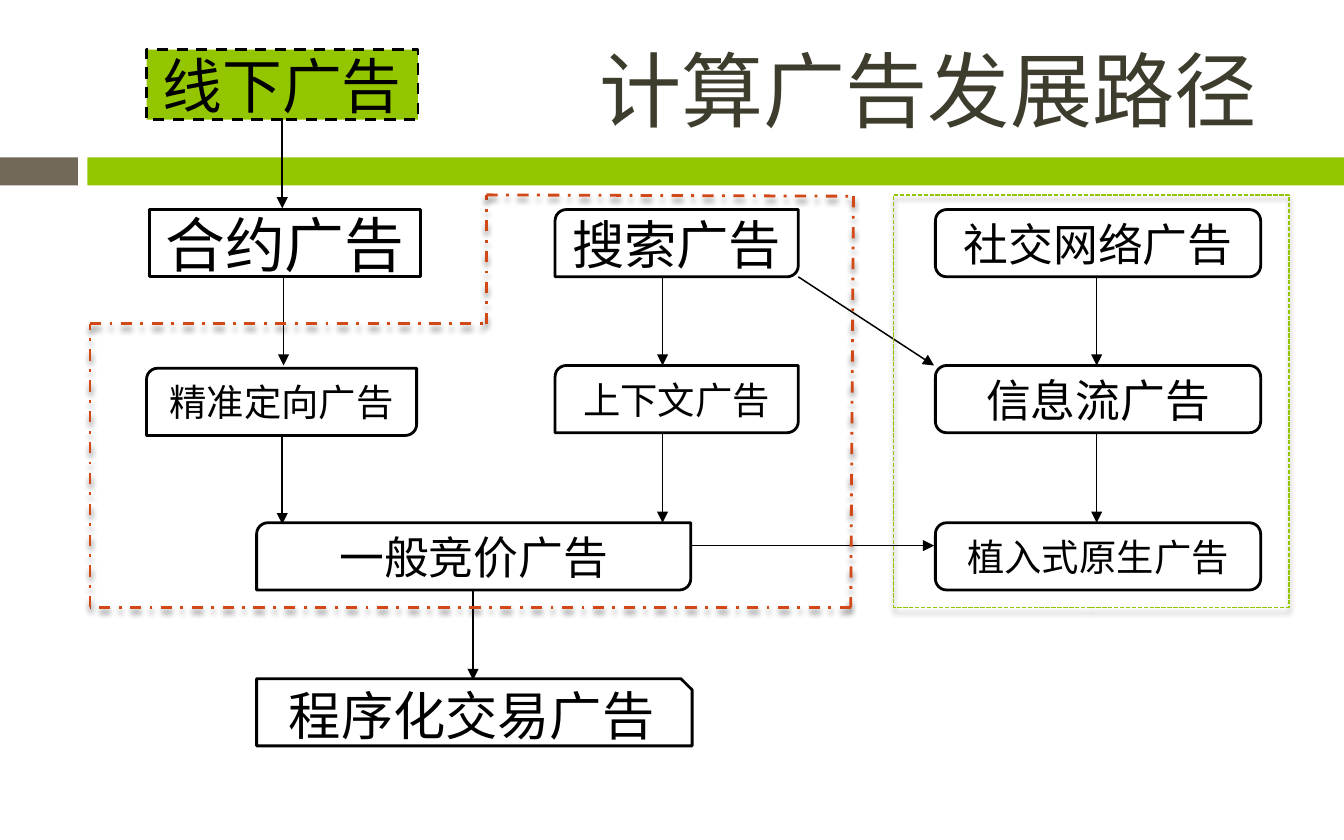
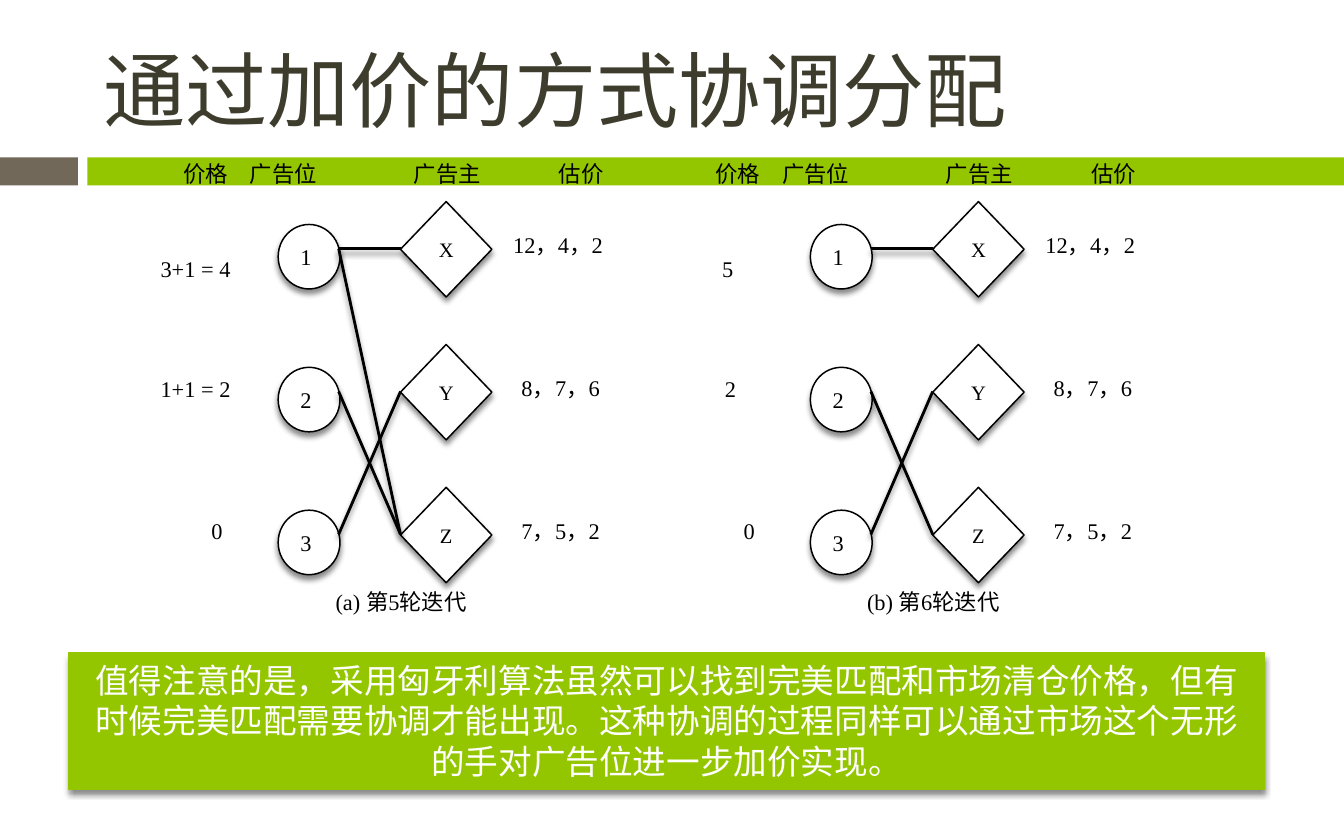
from dataclasses import dataclass
from itertools import pairwise
from typing import Any, NamedTuple

from lxml import etree
from pptx import Presentation
from pptx import util as u
from pptx.dml.color import RGBColor
from pptx.enum import dml, lang, shapes, text
from pptx.oxml.ns import qn

COLORS = {
    "black": "000000",
    "white": "FFFFFF",
    "green": "94C600",
    "brown": "71685A",
    "title": "3E3D2D",
    "red": "D34817",
}
TITLE_FONT = "Roboto Condensed"
BODY_FONT = "Times New Roman"
WIDTH, HEIGHT = u.Inches(10), u.Inches(6.25)
CELL = WIDTH // 100
THIN, THICK = 0.79, 1.5
ROW_STEP = 10.63
PANEL_STEP = 39.6

Kind = shapes.MSO_SHAPE
Dash = dml.MSO_LINE
Align = text.PP_ALIGN
Anchor = text.MSO_ANCHOR


class Area(NamedTuple):
    """A rectangle in grid columns and rows."""

    column: float
    row: float
    columns: float
    rows: float

    def lengths(self) -> list[int]:
        """Return left, top, width and height in slide units."""
        return [int(value * CELL) for value in self]

    def moved(self, columns: float = 0, rows: float = 0) -> "Area":
        """Return the area shifted over the grid."""
        return self._replace(column=self.column + columns, row=self.row + rows)


class Point(NamedTuple):
    """A place in grid columns and rows."""

    column: float
    row: float


@dataclass(frozen=True)
class Stage:
    """A labelled step of the advertising flow."""

    label: str
    area: Area
    kind: Any
    size: int
    fill: str = "white"
    dash: Any = None


@dataclass(frozen=True)
class Panel:
    """One round of the price matching."""

    caption: str
    prices: tuple[str, str, str]
    matches: tuple[tuple[int, int], ...]


TITLE_AREA = Area(6.7, 2.1, 89.2, 9)
BANDS = (("brown", Area(0, 11.7, 5.8, 2.1)), ("green", Area(6.5, 11.7, 93.5, 2.1)))

STAGES = (
    Stage("合约广告", Area(11.1, 15.6, 20.2, 5), Kind.RECTANGLE, 32),
    Stage("线下广告", Area(10.9, 3.7, 20.2, 5.2), Kind.RECTANGLE, 32, "green", Dash.DASH),
    Stage("搜索广告", Area(41.3, 15.6, 18.1, 5), Kind.ROUND_2_DIAG_RECTANGLE, 28),
    Stage("精准定向广告", Area(10.9, 27.4, 20.1, 5), Kind.ROUND_2_DIAG_RECTANGLE, 20),
    Stage("上下文广告", Area(41.3, 27.2, 18.1, 5), Kind.ROUND_2_DIAG_RECTANGLE, 20),
    Stage("一般竞价广告", Area(19.1, 38.9, 32.3, 5), Kind.ROUND_2_DIAG_RECTANGLE, 24),
    Stage("程序化交易广告", Area(19.1, 50.5, 32.4, 5), Kind.SNIP_1_RECTANGLE, 28),
    Stage("社交网络广告", Area(69.6, 15.6, 24.2, 5), Kind.ROUNDED_RECTANGLE, 24),
    Stage("信息流广告", Area(69.6, 27.2, 24.2, 5), Kind.ROUNDED_RECTANGLE, 24),
    Stage("植入式原生广告", Area(69.6, 38.9, 24.2, 5), Kind.ROUNDED_RECTANGLE, 20),
)
ARROWS = (
    (Point(21, 8.8), Point(21, 15.5)),
    (Point(21.1, 20.6), Point(21.1, 27.2)),
    (Point(21, 32.3), Point(21, 39)),
    (Point(49.3, 20.6), Point(49.3, 27.2)),
    (Point(49.3, 32.2), Point(49.3, 38.9)),
    (Point(35.2, 43.9), Point(35.2, 50.6)),
    (Point(81.6, 20.6), Point(81.6, 27.2)),
    (Point(81.6, 32.2), Point(81.6, 38.9)),
    (Point(51.4, 40.6), Point(69.5, 40.6)),
    (Point(59.4, 20.6), Point(69.5, 27.2)),
)
NATIVE_ZONE = Area(66.5, 14.5, 29.4, 30.7)
BIDDING_ZONE = (
    Point(6.7, 24.1),
    Point(36.2, 24.1),
    Point(36.2, 14.5),
    Point(63.5, 14.6),
    Point(63.3, 45.2),
    Point(6.7, 45.2),
    Point(6.7, 24.1),
)

HEADINGS = (
    ("价格", Area(11.5, 11.4, 7.6, 3.5), Align.CENTER),
    ("广告位", Area(17.6, 11.4, 9.1, 3.5), Align.JUSTIFY),
    ("广告主", Area(29.8, 11.4, 9.1, 3.5), Align.JUSTIFY),
    ("估价", Area(38.7, 11.4, 9.1, 3.5), Align.CENTER),
)
PRICE_AREAS = (Area(10, 18.5, 9.1, 3.5), Area(10, 27.4, 9.1, 3.5), Area(13.1, 38, 6.1, 3.5))
BIDDERS = (("X", "12，4，2", 37.2), ("Y", " 8，7，6", 37.4), ("Z", " 7，5，2", 37.4))
PANELS = (
    Panel("(a) 第5轮迭代", ("3+1 = 4", "1+1 = 2", "0"), ((0, 0), (0, 2), (1, 2), (2, 1))),
    Panel("(b) 第6轮迭代", ("5", " 2", "0"), ((0, 0), (1, 2), (2, 1))),
)
NOTE = (
    "值得注意的是，采用匈牙利算法虽然可以找到完美匹配和市场清仓价格，"
    "但有时候完美匹配需要协调才能出现。"
    "这种协调的过程同样可以通过市场这个无形的手对广告位进一步加价实现。"
)


def rgb(name: str) -> RGBColor:
    """Look up a named colour."""
    return RGBColor.from_string(COLORS[name])


def write(
    shape: Any,
    content: str,
    *,
    size: float = 12,
    font: str = BODY_FONT,
    color: str = "black",
    align: Any = Align.CENTER,
    anchor: Any = Anchor.MIDDLE,
    fit: Any = text.MSO_AUTO_SIZE.NONE,
) -> None:
    """Put one formatted paragraph into a shape."""
    frame = shape.text_frame
    frame.word_wrap = True
    frame.auto_size = fit
    frame.vertical_anchor = anchor
    paragraph = frame.paragraphs[0]
    paragraph.alignment = align
    run = paragraph.add_run()
    run.text = content
    run.font.size = u.Pt(size)
    run.font.name = font
    run.font.color.rgb = rgb(color)
    run.font.language_id = lang.MSO_LANGUAGE_ID.SIMPLIFIED_CHINESE


def set_outline(item: Any, color: str, width: float, dash: Any, shadow: bool) -> None:
    """Style the line of a shape or connector and set its shadow."""
    item.line.color.rgb = rgb(color)
    item.line.width = u.Pt(width)
    if dash is not None:
        item.line.dash_style = dash
    effects = etree.SubElement(item.element.spPr, qn("a:effectLst"))
    if shadow:
        outer = etree.SubElement(
            effects, qn("a:outerShdw"), blurRad=str(u.Pt(3)), dist=str(u.Pt(2.4)), dir="5400000", rotWithShape="0"
        )
        tint = etree.SubElement(outer, qn("a:srgbClr"), val=COLORS["black"])
        etree.SubElement(tint, qn("a:alpha"), val="45000")


def add_box(
    canvas: Any,
    kind: Any,
    area: Area,
    *,
    fill: str | None = "white",
    line: str = "black",
    width: float = THIN,
    dash: Any = None,
    shadow: bool = False,
) -> Any:
    """Draw a preset shape on the grid."""
    shape = canvas.add_shape(kind, *area.lengths())
    if fill:
        shape.fill.solid()
        shape.fill.fore_color.rgb = rgb(fill)
    else:
        shape.fill.background()
    set_outline(shape, line, width, dash, shadow)
    return shape


def add_line(
    canvas: Any,
    start: Point,
    end: Point,
    *,
    color: str = "black",
    width: float = THICK,
    dash: Any = None,
    shadow: bool = True,
    arrow: bool = False,
) -> None:
    """Draw a straight line or arrow on the grid."""
    places = [int(value * CELL) for value in (*start, *end)]
    connector = canvas.add_connector(shapes.MSO_CONNECTOR.STRAIGHT, *places)
    set_outline(connector, color, width, dash, shadow)
    if arrow:
        etree.SubElement(connector.element.spPr.find(qn("a:ln")), qn("a:tailEnd"), type="triangle")


def add_label(canvas: Any, content: str, area: Area, align: Any = Align.CENTER) -> None:
    """Add a small text box."""
    write(canvas.add_textbox(*area.lengths()), content, align=align, anchor=Anchor.TOP)


def add_titled_slide(presentation: Any, title: str, align: Any) -> Any:
    """Add a slide with a formatted title."""
    slide = presentation.slides.add_slide(presentation.slide_layouts[5])
    write(slide.shapes.title, title, size=44, font=TITLE_FONT, color="title", align=align)
    return slide


def prepare_layout(presentation: Any, slide: Any) -> None:
    """Place the shared title area and bands on the layout."""
    layout = slide.slide_layout
    title = layout.placeholders[0]
    title.left, title.top, title.width, title.height = TITLE_AREA.lengths()
    for number, (color, area) in enumerate(BANDS, 101):
        band = add_box(slide.shapes, Kind.RECTANGLE, area, fill=color)
        band.line.fill.background()
        band.element.nvSpPr.cNvPr.set("id", str(number))
        layout.shapes.element.append(band.element)


def draw_flow(slide: Any) -> None:
    """Draw the advertising stages, their arrows and zones."""
    flow = slide.shapes.add_group_shape().shapes
    for stage in STAGES:
        shape = add_box(flow, stage.kind, stage.area, fill=stage.fill, width=THICK, dash=stage.dash)
        write(shape, stage.label, size=stage.size)
    for start, end in ARROWS:
        add_line(flow, start, end, width=THIN, shadow=False, arrow=True)
    add_box(slide.shapes, Kind.RECTANGLE, NATIVE_ZONE, fill=None, line="green", dash=Dash.SQUARE_DOT, shadow=True)
    border = slide.shapes.add_group_shape().shapes
    for start, end in pairwise(BIDDING_ZONE):
        add_line(border, start, end, color="red", dash=Dash.DASH_DOT)


def draw_panel(slide: Any, panel: Panel, offset: float) -> None:
    """Draw slots, bidders, prices and matches of one round."""
    canvas = slide.shapes.add_group_shape().shapes
    for heading, area, align in HEADINGS:
        add_label(canvas, heading, area.moved(offset), align)
    for price, area in zip(panel.prices, PRICE_AREAS):
        add_label(canvas, price, area.moved(offset))
    for index, (bidder, values, column) in enumerate(BIDDERS):
        down = index * ROW_STEP
        slot = add_box(canvas, Kind.OVAL, Area(20.7, 16.7, 4.6, 4.8).moved(offset, down), shadow=True)
        write(slot, str(index + 1), align=Align.JUSTIFY)
        diamond = add_box(canvas, Kind.DIAMOND, Area(29.8, 15, 6.8, 7.1).moved(offset, down), shadow=True)
        write(diamond, bidder, size=11)
        add_label(canvas, values, Area(column, 16.7, 12.2, 3.5).moved(offset, down), Align.JUSTIFY)
    for slot_row, bidder_row in panel.matches:
        start = Point(25.2 + offset, 18.5 + slot_row * ROW_STEP)
        add_line(canvas, start, Point(29.8 + offset, 18.5 + bidder_row * ROW_STEP))
    add_label(canvas, panel.caption, Area(20.7, 43.3, 18.3, 3.5).moved(offset))


def main() -> None:
    """Build and save both slides."""
    presentation = Presentation()
    presentation.slide_width, presentation.slide_height = WIDTH, HEIGHT
    path_slide = add_titled_slide(presentation, "计算广告发展路径 ", Align.RIGHT)
    prepare_layout(presentation, path_slide)
    draw_flow(path_slide)
    price_slide = add_titled_slide(presentation, "通过加价的方式协调分配", Align.LEFT)
    for index, panel in enumerate(PANELS):
        draw_panel(price_slide, panel, index * PANEL_STEP)
    banner = add_box(
        price_slide.shapes, Kind.RECTANGLE, Area(5.1, 48.6, 89, 10.1), fill="green", line="green", shadow=True
    )
    write(banner, NOTE, size=18, color="white", anchor=Anchor.TOP, fit=text.MSO_AUTO_SIZE.SHAPE_TO_FIT_TEXT)
    presentation.save("out.pptx")


if __name__ == "__main__":
    main()
